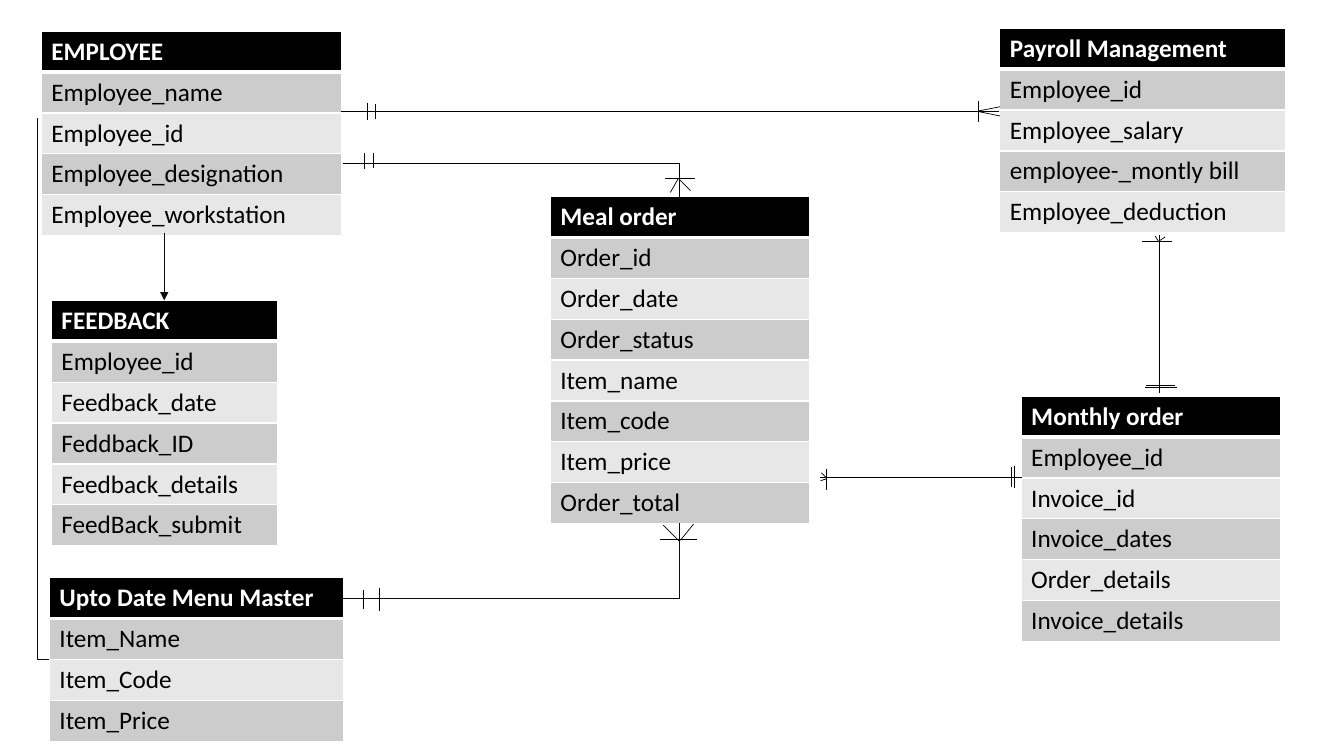
import pptx
import pptx.util
import pptx.dml.color
import pptx.enum.shapes
import pptx.oxml
import pptx.oxml.ns
from dataclasses import dataclass

Pt = pptx.util.Pt
Kind = pptx.enum.shapes.MSO_CONNECTOR


@dataclass
class Theme:
    font: str = "Calibri"
    size: float = 18
    head: str = "000000"
    dark: str = "CCCCCC"
    light: str = "E7E7E7"
    white: str = "FFFFFF"
    black: str = "000000"
    ink: str = "0C0D11"
    line: float = 0.5
    thin: float = 1
    thick: float = 3


theme = Theme()
ROW = 29.2

TABLES = {
    "staff": (29.5, 22.3, 214.6, ["EMPLOYEE", "Employee_name", "Employee_id",
              "Employee_designation", "Employee_workstation"]),
    "pay": (714.2, 20.2, 203.8, ["Payroll Management", "Employee_id", "Employee_salary",
            "employee-_montly bill", "Employee_deduction"]),
    "feedback": (36.7, 214.6, 161.3, ["FEEDBACK", "Employee_id", "Feedback_date",
                 "Feddback_ID", "Feedback_details", "FeedBack_submit"]),
    "menu": (35.3, 412.6, 210.2, ["Upto Date Menu Master", "Item_Name", "Item_Code",
             "Item_Price"]),
    "meal": (393.1, 140.4, 185, ["Meal order", "Order_id", "Order_date", "Order_status",
             "Item_name", "Item_code", "Item_price", "Order_total"]),
    "month": (729.4, 283, 185, ["Monthly order", "Employee_id", "Invoice_id",
              "Invoice_dates", "Order_details", "Invoice_details"]),
}

# "path" runs end to end, "up" is x, y, y, "flat" is y, x, x, "toes" run end to end
LINKS = [
    dict(path=(243.4, 79.2, 699.8, 79.2),
         up=[(262.1, 73.4, 85.7), (267.8, 74.2, 85), (699.1, 72, 87.1)],
         toes=[(699.1, 79.2, 714.2, 76.3), (698.4, 79.2, 713.5, 79.2),
               (699.8, 79.9, 714.2, 82.8)]),
    dict(path=(730.1, 341.3, 585.4, 341.3), group=True,
         up=[(724.3, 348.5, 332.6), (722.2, 347.8, 333.4), (590.4, 349.9, 334.8)],
         toes=[(590.4, 342, 586.1, 343.4), (590.4, 341.3, 586.8, 337.7)]),
    dict(path=(244.8, 116.6, 485.3, 140.4), bent=True,
         up=[(260.6, 109.4, 121), (266.4, 109.4, 120.2)],
         flat=[(127.4, 496.1, 475.2)],
         toes=[(484.6, 127.4, 478.8, 137.5), (485.3, 128.2, 493.2, 136.1)]),
    dict(path=(244.8, 427.7, 485.3, 373.7), bent=True, color=theme.ink,
         up=[(259.9, 421.2, 434.9), (270.7, 419.8, 436.3)],
         flat=[(385.2, 471.6, 498.2)],
         toes=[(486, 385.9, 495.4, 374.4), (485.3, 386.6, 473.8, 375.1)]),
    dict(path=(828, 280.8, 828, 167.8), group=True,
         flat=[(276.5, 817.9, 841), (275, 818.6, 839.5), (172.1, 815.8, 837.4)],
         toes=[(827.3, 172.1, 825.1, 168.5), (828, 172.1, 832.3, 169.2)]),
    dict(path=(35.3, 470.9, 26.6, 84.2), bent=True, color=theme.ink),
]
ARROW = (117.35, 166.3, 117.35, 214.6)


def rgb(code):
    return pptx.dml.color.RGBColor.from_string(code)


def node(host, tag, **attrs):
    item = pptx.oxml.parse_xml(f"<{tag} {pptx.oxml.ns.nsdecls('a')}/>")
    for key, val in attrs.items():
        item.set(key, str(val))
    host.append(item)
    return item


def edge(cell, side, width):
    line = node(cell._tc.get_or_add_tcPr(), f"a:ln{side}", w=int(Pt(width)))
    node(node(line, "a:solidFill"), "a:srgbClr", val=theme.white)


def draw_table(shapes, left, top, width, names):
    frame = shapes.add_table(len(names), 1, Pt(left), Pt(top), Pt(width), Pt(ROW * len(names)))
    grid = frame.table
    for num, name in enumerate(names):
        grid.rows[num].height = Pt(ROW)
        cell = grid.cell(num, 0)
        for side in "LRTB":
            heavy = (num == 0 and side == "B") or (num == 1 and side == "T")
            edge(cell, side, theme.thick if heavy else theme.thin)
        cell.fill.solid()
        band = theme.dark if num % 2 else theme.light
        cell.fill.fore_color.rgb = rgb(band if num else theme.head)
        run = cell.text_frame.paragraphs[0].add_run()
        run.text = name
        run.font.name = theme.font
        run.font.size = Pt(theme.size)
        run.font.bold = num == 0
        run.font.color.rgb = rgb(theme.black if num else theme.white)
    return frame


def draw_line(shapes, ends, color=theme.black, bent=False):
    kind = Kind.ELBOW if bent else Kind.STRAIGHT
    line = shapes.add_connector(kind, *[Pt(val) for val in ends])
    line.line.width = Pt(theme.line)
    line.line.color.rgb = rgb(color)
    shape = line._element.spPr
    if bent:
        shape.find(pptx.oxml.ns.qn("a:prstGeom")).set("prst", "bentConnector2")
    node(shape, "a:effectLst")
    return line


def draw_link(shapes, path, up=(), flat=(), toes=(), color=theme.black, bent=False, group=False):
    host = shapes.add_group_shape().shapes if group else shapes
    draw_line(host, path, color, bent)
    bars = [(x, y1, x, y2) for x, y1, y2 in up] + [(x1, y, x2, y) for y, x1, x2 in flat]
    for ends in bars + list(toes):
        draw_line(host, ends)


def main():
    deck = pptx.Presentation()
    deck.slide_width, deck.slide_height = Pt(960), Pt(540)
    shapes = deck.slides.add_slide(deck.slide_layouts[6]).shapes
    frames = {key: draw_table(shapes, *data) for key, data in TABLES.items()}
    for link in LINKS:
        draw_link(shapes, **link)
    arrow = draw_line(shapes, ARROW, theme.ink)
    arrow.end_connect(frames["feedback"], 0)
    node(arrow.line._get_or_add_ln(), "a:tailEnd", type="triangle")
    deck.save("out.pptx")


if __name__ == "__main__":
    main()
